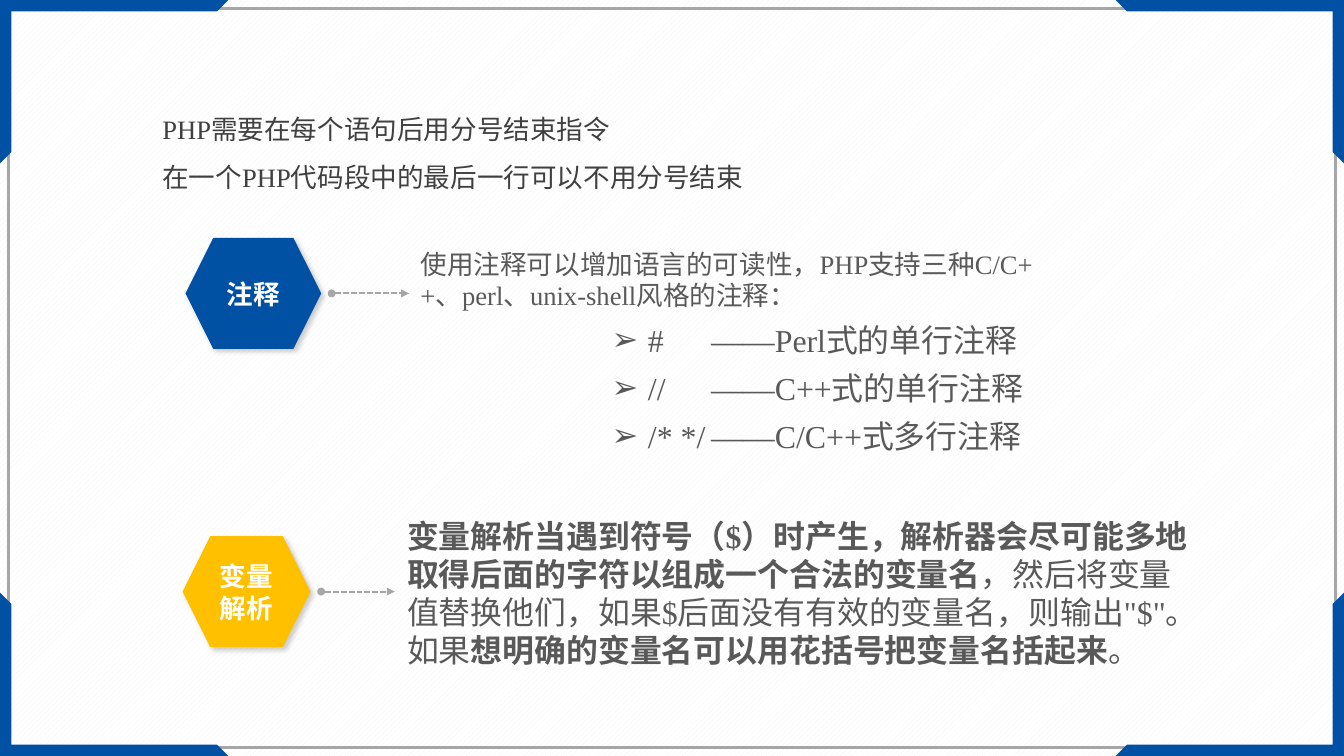
from lxml.etree import SubElement
from pptx import Presentation
from pptx.dml.color import RGBColor
from pptx.enum.dml import MSO_LINE, MSO_PATTERN
from pptx.enum.shapes import MSO_CONNECTOR, MSO_SHAPE
from pptx.enum.text import MSO_ANCHOR, PP_ALIGN
from pptx.oxml.ns import qn
from pptx.util import Inches, Pt

# Content: a text is a list of paragraphs, a paragraph a list of (words, bold)
INTRO = [
    [("PHP需要在每个语句后用分号结束指令", False)],
    [("在一个PHP代码段中的最后一行可以不用分号结束", False)],
]
COMMENT_TEXT = [[("使用注释可以增加语言的可读性，PHP支持三种C/C++、perl、unix-shell风格的注释：", False)]]
COMMENT_STYLES = [
    [("#\t——Perl式的单行注释", False)],
    [("//\t——C++式的单行注释", False)],
    [("/* */\t——C/C++式多行注释", False)],
]
VARIABLE_TEXT = [[
    ("变量解析当遇到符号（$）时产生，解析器会尽可能多地取得后面的字符以组成一个合法的变量名", True),
    ("，然后将变量值替换他们，如果$后面没有有效的变量名，则输出\"$\"。如果", False),
    ("想明确的变量名可以用花括号把变量名括起来", True),
    ("。", False),
]]

# Topics: label, fill, hexagon left and width, arrow start and end, middle line
TOPICS = [
    ("注释", "0050A3", 1.94, 1.42, 3.47, 4.28, 3.07),
    ("变量解析", "FFC000", 1.91, 1.34, 3.36, 4.13, 6.19),
]
HEXAGON_HEIGHT = 1.16

# Look
WIDTH, HEIGHT = 14.06, 7.91
FONT = "Times New Roman"
BLUE, GRAY, WHITE = "0050A3", "A6A6A6", "FFFFFF"
DARK_TEXT, BODY_TEXT = "404040", "595959"
MARGIN = 0.09
CORNER_WIDTH, CORNER_HEIGHT, CORNER_BAND = 2.39, 1.71, 0.12


def color(hex_string):
    return RGBColor.from_string(hex_string)


def paint(shape, fill):
    shape.shadow.inherit = False
    shape.fill.solid()
    shape.fill.fore_color.rgb = color(fill)
    shape.line.fill.background()


def add_paragraphs(text_frame, paragraphs, size, text_color):
    """Fill the empty first paragraph, then append; return what was written."""
    written = []
    for runs in paragraphs:
        first = text_frame.paragraphs[0]
        paragraph = text_frame.add_paragraph() if first.runs else first
        for words, bold in runs:
            run = paragraph.add_run()
            run.text = words
            run.font.bold = bold
        paragraph.font.name = FONT
        paragraph.font.size = Pt(size)
        paragraph.font.color.rgb = color(text_color)
        written.append(paragraph)
    return written


def add_text_box(left, top, width, height, anchor):
    text_frame = slide.shapes.add_textbox(
        Inches(left), Inches(top), Inches(width), Inches(height)).text_frame
    text_frame.word_wrap = True
    text_frame.vertical_anchor = anchor
    return text_frame


def add_arrow_bullet(paragraph, indent, hanging, tab):
    properties = paragraph._p.get_or_add_pPr()
    properties.set("marL", str(Inches(indent)))
    properties.set("indent", str(-Inches(hanging)))
    SubElement(properties, qn("a:buFont"), typeface="Arial")
    SubElement(properties, qn("a:buChar"), char="➢")
    tabs = SubElement(properties, qn("a:tabLst"))
    SubElement(tabs, qn("a:tab"), pos=str(Inches(tab)), algn="l")
    run_defaults = properties.find(qn("a:defRPr"))
    properties.append(run_defaults)


def add_soft_shadow(shape):
    effects = shape._element.spPr.find(qn("a:effectLst"))
    shadow = SubElement(effects, qn("a:outerShdw"), blurRad=str(Pt(4)), dist=str(Pt(3)),
                        dir=str(45 * 60000), algn="tl", rotWithShape="0")
    black = SubElement(shadow, qn("a:srgbClr"), val="000000")
    SubElement(black, qn("a:alpha"), val="20000")


def add_topic(label, fill, left, width, start, end, middle):
    hexagon = slide.shapes.add_shape(
        MSO_SHAPE.HEXAGON, Inches(left), Inches(middle - HEXAGON_HEIGHT / 2),
        Inches(width), Inches(HEXAGON_HEIGHT))
    paint(hexagon, fill)
    add_soft_shadow(hexagon)
    hexagon.text_frame.word_wrap = True
    hexagon.text_frame.vertical_anchor = MSO_ANCHOR.MIDDLE
    for paragraph in add_paragraphs(hexagon.text_frame, [[(label, True)]], 20, WHITE):
        paragraph.alignment = PP_ALIGN.CENTER

    arrow = slide.shapes.add_connector(
        MSO_CONNECTOR.STRAIGHT, Inches(start), Inches(middle), Inches(end), Inches(middle))
    arrow.line.color.rgb = color(GRAY)
    arrow.line.width = Pt(1.5)
    arrow.line.dash_style = MSO_LINE.SQUARE_DOT
    line = arrow.line._get_or_add_ln()
    SubElement(line, qn("a:headEnd"), type="oval")
    SubElement(line, qn("a:tailEnd"), type="triangle")
    SubElement(arrow._element.spPr, qn("a:effectLst"))


def add_corner(right, bottom):
    outline = [
        (0, 0), (CORNER_WIDTH, 0), (CORNER_WIDTH - CORNER_BAND, CORNER_BAND),
        (CORNER_BAND, CORNER_BAND), (CORNER_BAND, CORNER_HEIGHT - CORNER_BAND),
        (0, CORNER_HEIGHT),
    ]
    points = [(Inches(WIDTH - x if right else x), Inches(HEIGHT - y if bottom else y))
              for x, y in outline]
    builder = slide.shapes.build_freeform(*points[0])
    builder.add_line_segments(points[1:], close=True)
    paint(builder.convert_to_shape(), BLUE)


presentation = Presentation()
presentation.slide_width, presentation.slide_height = Inches(WIDTH), Inches(HEIGHT)
slide = presentation.slides.add_slide(presentation.slide_layouts[6])

# Striped background
background = slide.background.fill
background.patterned()
background.pattern = MSO_PATTERN.WIDE_UPWARD_DIAGONAL
background.fore_color.rgb = color("F2F2F2")
background.back_color.rgb = color(WHITE)

# Frame with four mirrored corners
frame = slide.shapes.add_shape(
    MSO_SHAPE.RECTANGLE, Inches(MARGIN), Inches(MARGIN),
    Inches(WIDTH - 2 * MARGIN), Inches(HEIGHT - 2 * MARGIN))
frame.shadow.inherit = False
frame.fill.background()
frame.line.color.rgb = color(GRAY)
frame.line.width = Pt(2)
for right in (False, True):
    for bottom in (False, True):
        add_corner(right, bottom)

# Introduction
intro_frame = add_text_box(1.6, 0.97, 11.05, 1.05, MSO_ANCHOR.TOP)
for paragraph in add_paragraphs(intro_frame, INTRO, 20, DARK_TEXT):
    paragraph.alignment = PP_ALIGN.JUSTIFY
    paragraph.line_spacing = 1.5

# Hexagons with arrows
for topic in TOPICS:
    add_topic(*topic)

# Comments and their three styles
comment_frame = add_text_box(4.3, 2.54, 7.02, 2.49, MSO_ANCHOR.TOP)
add_paragraphs(comment_frame, COMMENT_TEXT, 20, BODY_TEXT)
for paragraph in add_paragraphs(comment_frame, COMMENT_STYLES, 24, BODY_TEXT):
    paragraph.level = 4
    paragraph.line_spacing = 1.25
    add_arrow_bullet(paragraph, 2.38, 0.38, 3.04)

# Variable parsing
variable_frame = add_text_box(4.16, 5.34, 8.49, 1.72, MSO_ANCHOR.MIDDLE)
add_paragraphs(variable_frame, VARIABLE_TEXT, 24, BODY_TEXT)

presentation.save("out.pptx")
